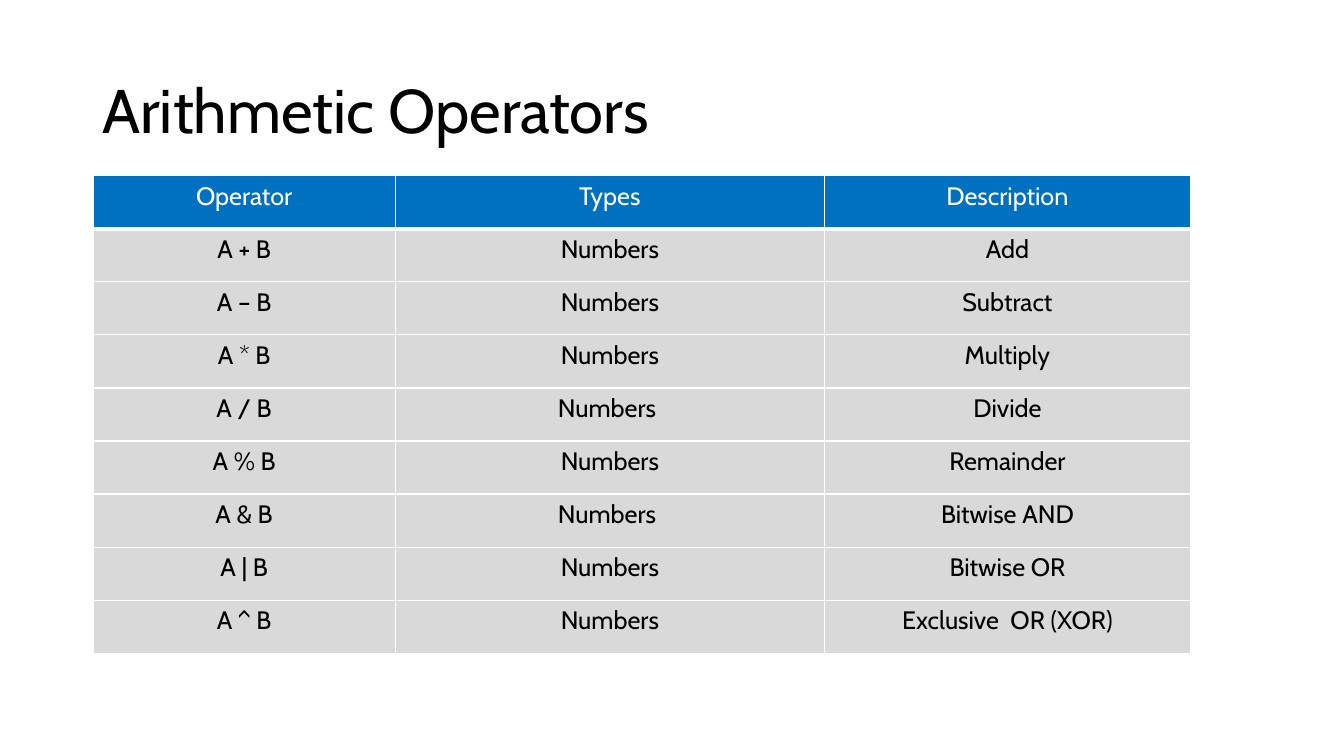
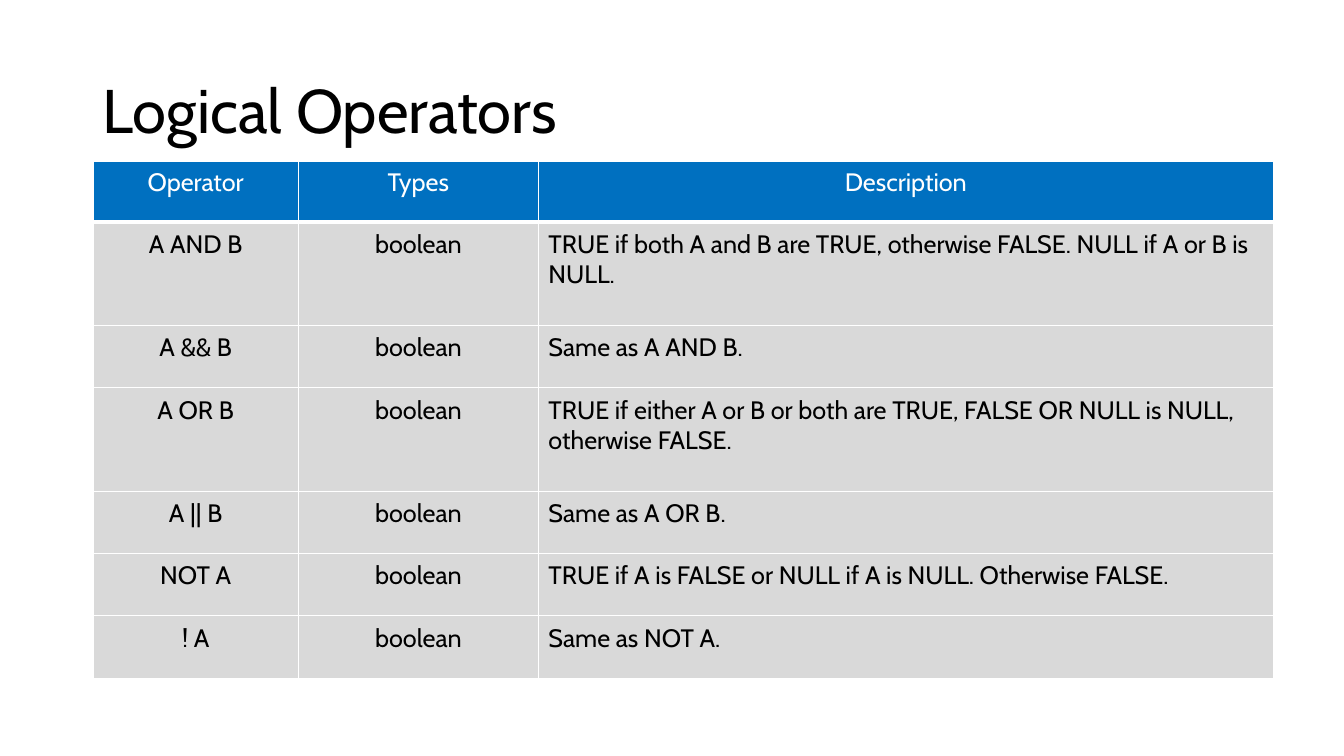
import pptx
import pptx.dml.color
import pptx.enum.text
import pptx.oxml
import pptx.oxml.ns
import pptx.util

Pt = pptx.util.Pt
ALIGN = pptx.enum.text.PP_ALIGN
ANCHOR = pptx.enum.text.MSO_ANCHOR

# Shared style
FONT = "Cabin"
BLACK, WHITE = "000000", "FFFFFF"
HEADER_FILL, BODY_FILL = "0070C0", "D9D9D9"
LEFT = 66.4
THIN, THICK = 1, 3
HEADINGS = ("Operator", "Types", "Description")

ARITHMETIC = [
    ("A + B", "Numbers", "Add"),
    ("A – B", "Numbers", "Subtract"),
    ("A * B", "Numbers", "Multiply"),
    ("A / B", "Numbers ", "Divide"),
    ("A % B", "Numbers", "Remainder"),
    ("A & B", "Numbers ", "Bitwise AND"),
    ("A | B", "Numbers", "Bitwise OR"),
    ("A ^ B", "Numbers", "Exclusive  OR (XOR)"),
]
LOGICAL = [
    ("A AND B", "boolean",
     "TRUE if both A and B are TRUE, otherwise FALSE. NULL if A or B is NULL."),
    ("A && B", "boolean", "Same as A AND B."),
    ("A OR B", "boolean",
     "TRUE if either A or B or both are TRUE, FALSE OR NULL is NULL, otherwise FALSE."),
    ("A || B", "boolean", "Same as A OR B."),
    ("NOT A", "boolean", "TRUE if A is FALSE or NULL if A is NULL. Otherwise FALSE."),
    ("! A", "boolean", "Same as NOT A."),
]


def color(value):
    return pptx.dml.color.RGBColor.from_string(value)


def write(frame, text, size, ink, align):
    para = frame.paragraphs[0]
    para.text = text
    para.alignment = align
    para.font.name = FONT
    para.font.size = Pt(size)
    para.font.color.rgb = color(ink)
    return para


def add_title(page, text):
    box = page.shapes.add_textbox(Pt(66), Pt(28.8), Pt(828), Pt(104.4))
    frame = box.text_frame
    frame.word_wrap = True
    frame.vertical_anchor = ANCHOR.MIDDLE
    write(frame, text, 44, BLACK, ALIGN.LEFT).line_spacing = 0.9


def set_borders(cell, top, bottom):
    """Draw white borders; they must precede the fill in the cell's XML."""
    properties = cell._tc.get_or_add_tcPr()
    widths = {"lnL": THIN, "lnR": THIN, "lnT": top, "lnB": bottom}
    for index, (side, width) in enumerate(widths.items()):
        properties.insert(index, pptx.oxml.parse_xml(
            f'<a:{side} {pptx.oxml.ns.nsdecls("a")} w="{Pt(width)}">'
            f'<a:solidFill><a:srgbClr val="{WHITE}"/></a:solidFill></a:{side}>'))


def fill_cell(cell, text, row, align, margin):
    is_header = row == 0
    cell.fill.solid()
    cell.fill.fore_color.rgb = color(HEADER_FILL if is_header else BODY_FILL)
    if not is_header:
        cell.margin_top = cell.margin_bottom = Pt(margin)
    set_borders(cell, THICK if row == 1 else THIN, THICK if is_header else THIN)
    write(cell.text_frame, text, 18, WHITE if is_header else BLACK, align)


def add_operator_table(page, top, widths, heights, body,
                       description_align=ALIGN.CENTER, margin=3.6):
    rows = [HEADINGS, *body]
    table = page.shapes.add_table(
        len(rows), len(widths), Pt(LEFT), Pt(top),
        Pt(sum(widths)), Pt(sum(heights))).table
    for column, width in zip(table.columns, widths):
        column.width = Pt(width)
    for row, (texts, height) in enumerate(zip(rows, heights)):
        table.rows[row].height = Pt(height)
        for column, text in enumerate(texts):
            is_description = row > 0 and column == 2
            align = description_align if is_description else ALIGN.CENTER
            fill_cell(table.cell(row, column), text, row, align, margin)


def main():
    deck = pptx.Presentation()
    deck.slide_width, deck.slide_height = Pt(960), Pt(540)
    blank = deck.slide_layouts[6]

    # Arithmetic operators
    page = deck.slides.add_slide(blank)
    add_title(page, "Arithmetic Operators")
    add_operator_table(page, 125.5, (216, 306.5, 261.5), [37.9] * 9, ARITHMETIC)

    # Logical operators: two-line descriptions get taller rows
    page = deck.slides.add_slide(blank)
    add_title(page, "Logical Operators")
    single, double = 44.5, 74
    add_operator_table(page, 115.5, (146.8, 171.4, 525),
                       [43, double, single, double, single, single, single],
                       LOGICAL, ALIGN.LEFT, margin=5)

    deck.save("out.pptx")


if __name__ == "__main__":
    main()
